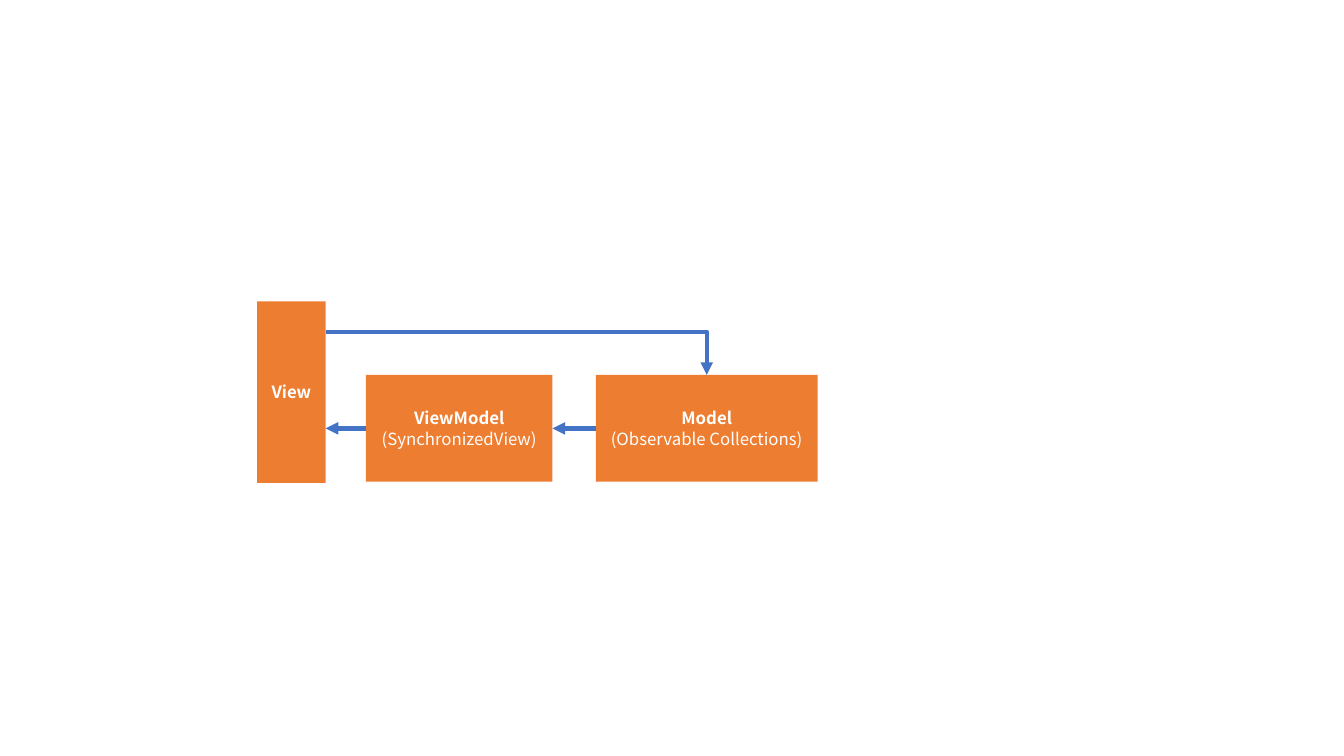
from lxml import etree
from pptx import Presentation
from pptx.dml.color import RGBColor
from pptx.enum import shapes, text
from pptx.oxml.ns import qn
from pptx.util import Inches, Pt

ORANGE = RGBColor(0xED, 0x7D, 0x31)
BLUE = RGBColor(0x44, 0x72, 0xC4)
WHITE = RGBColor(0xFF, 0xFF, 0xFF)
FONT = "Noto Sans CJK JP"


def add_box(slide, left, top, width, height, name, detail=None):
    shape = slide.shapes.add_shape(
        shapes.MSO_SHAPE.RECTANGLE,
        Inches(left), Inches(top), Inches(width), Inches(height))
    shape.shadow.inherit = False
    shape.fill.solid()
    shape.fill.fore_color.rgb = ORANGE
    shape.line.fill.background()
    frame = shape.text_frame
    frame.word_wrap = True
    frame.vertical_anchor = text.MSO_ANCHOR.MIDDLE
    add_line(frame.paragraphs[0], name, True)
    if detail:
        add_line(frame.add_paragraph(), detail, False)
    return shape


def add_line(paragraph, words, bold):
    paragraph.alignment = text.PP_ALIGN.CENTER
    run = paragraph.add_run()
    run.text = words
    run.font.name = FONT
    run.font.size = Pt(12)
    run.font.bold = bold
    run.font.color.rgb = WHITE


def add_arrow(slide, kind, start, end):
    connector = slide.shapes.add_connector(
        kind, *(Inches(value) for value in start + end))
    connector.line.color.rgb = BLUE
    connector.line.width = Pt(3)
    properties = connector._element.spPr
    etree.SubElement(properties.find(qn("a:ln")), qn("a:tailEnd"), type="triangle")
    etree.SubElement(properties, qn("a:effectLst"))
    return connector


def main():
    presentation = Presentation()
    presentation.slide_width = Inches(13.33)
    presentation.slide_height = Inches(7.5)
    slide = presentation.slides.add_slide(presentation.slide_layouts[6])

    add_box(slide, 2.55, 2.99, 0.68, 1.8, "View")
    model = add_box(slide, 5.91, 3.72, 2.2, 1.06, "Model", "(Observable Collections)")
    view_model = add_box(slide, 3.63, 3.72, 1.85, 1.06, "ViewModel", "(SynchronizedView)")

    elbow = add_arrow(slide, shapes.MSO_CONNECTOR.ELBOW, (3.23, 3.29), (7.01, 3.72))
    elbow._element.spPr.find(qn("a:prstGeom")).set("prst", "bentConnector2")

    straight = shapes.MSO_CONNECTOR.STRAIGHT
    to_view = add_arrow(slide, straight, (3.63, 4.25), (3.23, 4.25))
    to_view.begin_connect(view_model, 1)
    to_view_model = add_arrow(slide, straight, (5.91, 4.25), (5.48, 4.25))
    to_view_model.begin_connect(model, 1)
    to_view_model.end_connect(view_model, 3)

    presentation.save("out.pptx")


if __name__ == "__main__":
    main()
